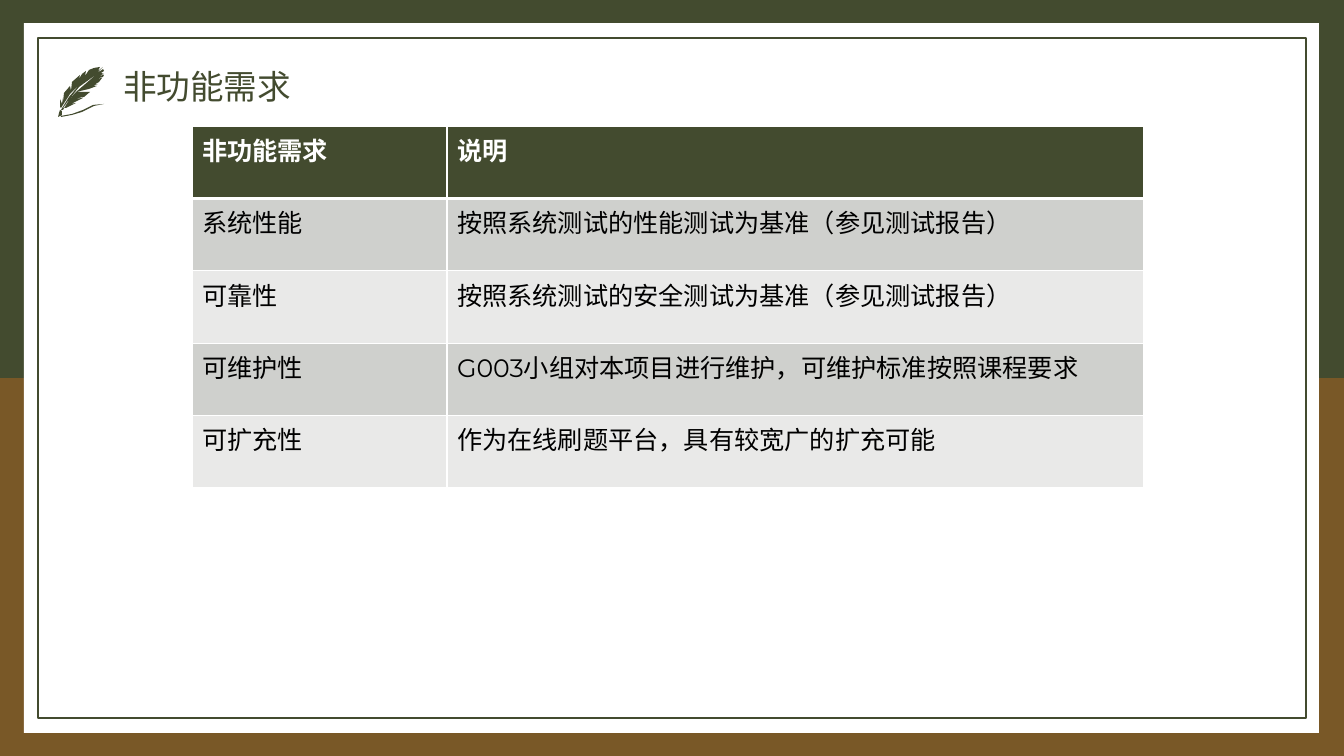
from lxml import etree
from pptx import Presentation
from pptx import util as u
from pptx.dml.color import RGBColor
from pptx.enum import shapes, text
from pptx.oxml import ns

PX = 12192000 / 1344
GREEN, BROWN, WHITE, BLACK = "434B2F", "795827", "FFFFFF", "000000"
BANDS = ["CFD0CD", "E9E9E8"]

# Feather outlines, in px on the slide
FEATHER = [
    # upper vane
    [(60, 107), (60, 99), (62, 104), (63, 98), (63, 102), (64, 93), (70, 86),
     (71, 91), (72, 82), (80, 75), (79, 79), (82, 74), (86, 71), (85, 76),
     (89, 70), (94, 68), (100, 67), (98, 71), (103, 67), (98, 72), (94, 75),
     (80, 84), (70, 94), (61, 108)],
    # lower vane
    [(103, 69), (98, 73), (90, 80), (76, 92), (68, 101), (63, 108), (66, 108),
     (76, 103), (66, 105), (71, 104), (83, 98), (73, 99), (84, 97), (90, 92),
     (76, 92), (89, 89), (97, 86), (93, 86), (98, 84), (94, 85), (99, 82),
     (102, 78), (95, 79), (103, 77), (104, 75), (98, 76), (104, 74),
     (101, 73), (104, 71)],
    # shaft
    [(102, 70), (90, 79), (79, 87), (71, 97), (63, 110), (61, 110), (69, 97),
     (80, 84), (95, 74)],
    # nib
    [(60, 110), (62, 111), (62, 115), (58, 117), (59, 113)],
    # pen stroke
    [(104, 104), (94, 106), (82, 112), (72, 115), (61, 117), (61, 116),
     (72, 114), (83, 110), (93, 105)],
]

REQUIREMENTS = [
    ("非功能需求", "说明"),
    ("系统性能", "按照系统测试的性能测试为基准（参见测试报告）"),
    ("可靠性", "按照系统测试的安全测试为基准（参见测试报告）"),
    ("可维护性", "G003小组对本项目进行维护，可维护标准按照课程要求"),
    ("可扩充性", "作为在线刷题平台，具有较宽广的扩充可能"),
]


def px(length):
    return u.Emu(round(length * PX))


def color(value):
    return RGBColor.from_string(value)


class SlideBuilder:
    title_font, body_font = "Arial", "Montserrat"

    def __init__(self, slide):
        self.slide = slide

    def paint(self, shape, fill=None, line=None):
        shape.shadow.inherit = False
        if fill:
            shape.fill.solid()
            shape.fill.fore_color.rgb = color(fill)
        else:
            shape.fill.background()
        if line:
            shape.line.color.rgb = color(line)
            shape.line.width = u.Pt(1.5)
        else:
            shape.line.fill.background()

    def rectangle(self, x, y, width, height, fill=None, line=None):
        panel = self.slide.shapes.add_shape(
            shapes.MSO_SHAPE.RECTANGLE, px(x), px(y), px(width), px(height))
        self.paint(panel, fill, line)

    def outline(self, contours, fill):
        first, *others = contours
        builder = self.slide.shapes.build_freeform(*first[0], scale=PX)
        builder.add_line_segments(first[1:])
        for contour in others:
            builder.move_to(*contour[0])
            builder.add_line_segments(contour[1:])
        self.paint(builder.convert_to_shape(), fill)

    def add_words(self, paragraph, words, font, size, ink, bold=False):
        run = paragraph.add_run()
        run.text = words
        run.font.name = font
        run.font.size = u.Pt(size)
        run.font.bold = bold
        run.font.color.rgb = color(ink)

    def title(self, words, x, y, width, height):
        heading = self.slide.shapes.title
        heading.left, heading.top = px(x), px(y)
        heading.width, heading.height = px(width), px(height)
        frame = heading.text_frame
        frame.word_wrap = True
        frame.auto_size = text.MSO_AUTO_SIZE.NONE
        frame.vertical_anchor = text.MSO_ANCHOR.MIDDLE
        paragraph = frame.paragraphs[0]
        paragraph.alignment = text.PP_ALIGN.LEFT
        paragraph.line_spacing = 0.9
        self.add_words(paragraph, words, self.title_font, 24, GREEN)
        # Bring the heading in front of the background panels
        heading.element.getparent().append(heading.element)

    def borders(self, cell, top=1, bottom=1):
        properties = cell._tc.get_or_add_tcPr()
        widths = {"L": 1, "R": 1, "T": top, "B": bottom}
        for position, (side, points) in enumerate(widths.items()):
            edge = etree.Element(ns.qn(f"a:ln{side}"), w=str(u.Pt(points)))
            fill = etree.SubElement(edge, ns.qn("a:solidFill"))
            etree.SubElement(fill, ns.qn("a:srgbClr"), val=WHITE)
            properties.insert(position, edge)

    def table(self, rows, x, y, widths, height):
        grid = self.slide.shapes.add_table(
            len(rows), len(widths), px(x), px(y), px(sum(widths)), px(height)).table
        for column, width in zip(grid.columns, widths):
            column.width = px(width)
        for r, row in enumerate(rows):
            grid.rows[r].height = px(height / len(rows))
            header = r == 0
            for c, words in enumerate(row):
                cell = grid.cell(r, c)
                cell.fill.solid()
                cell.fill.fore_color.rgb = color(GREEN if header else BANDS[(r - 1) % 2])
                self.borders(cell, top=3 if r == 1 else 1, bottom=3 if header else 1)
                self.add_words(cell.text_frame.paragraphs[0], words, self.body_font, 18,
                               WHITE if header else BLACK, bold=header)


def main():
    deck = Presentation()
    deck.slide_width, deck.slide_height = px(1344), px(756)
    page = SlideBuilder(deck.slides.add_slide(deck.slide_layouts[5]))

    # Two-tone border and inner frame
    page.rectangle(0, 378, 1344, 378, fill=BROWN)
    page.rectangle(0, 0, 1344, 378, fill=GREEN)
    page.rectangle(24, 23, 1295, 710, fill=WHITE)
    page.rectangle(38, 38, 1268, 680, line=GREEN)

    # Heading with feather
    page.outline(FEATHER, GREEN)
    page.title("非功能需求", 113, 65, 605, 48)

    # Requirements table
    page.table(REQUIREMENTS, 192, 126, [255, 697], 362)

    deck.save("out.pptx")


if __name__ == "__main__":
    main()
